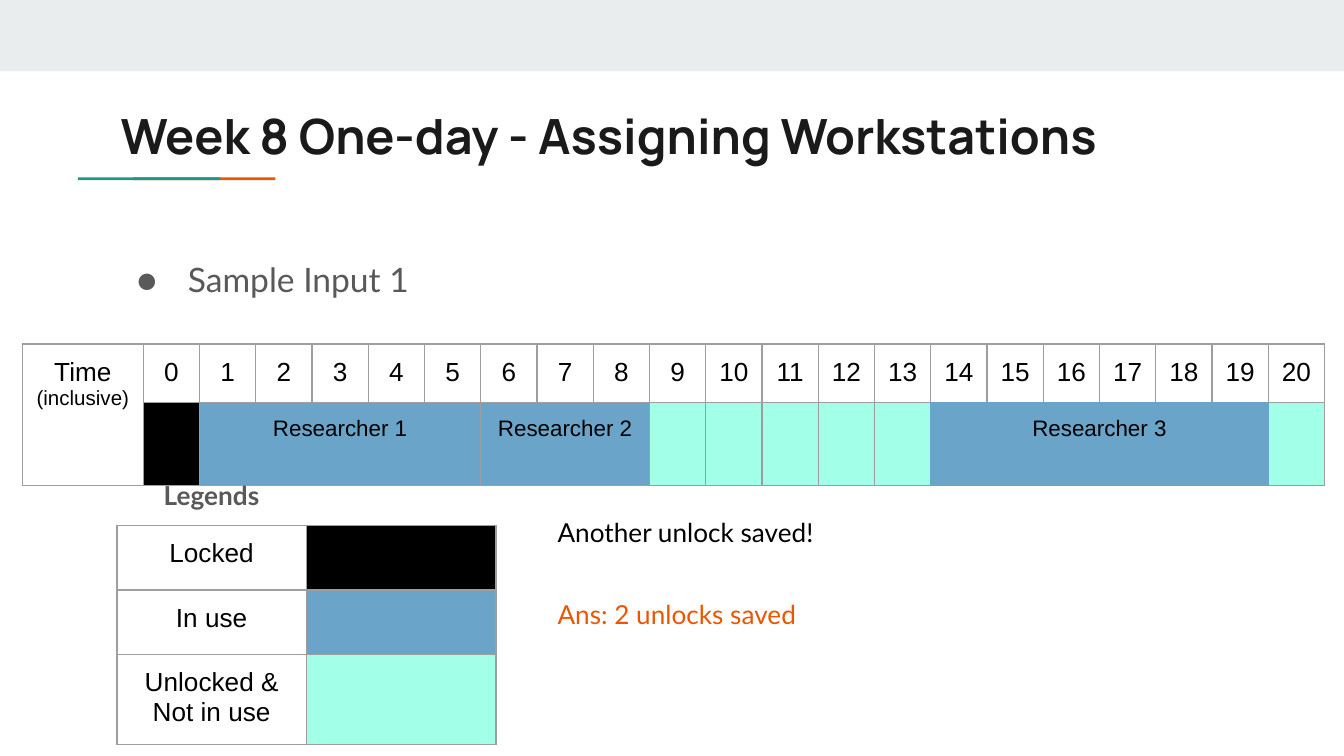
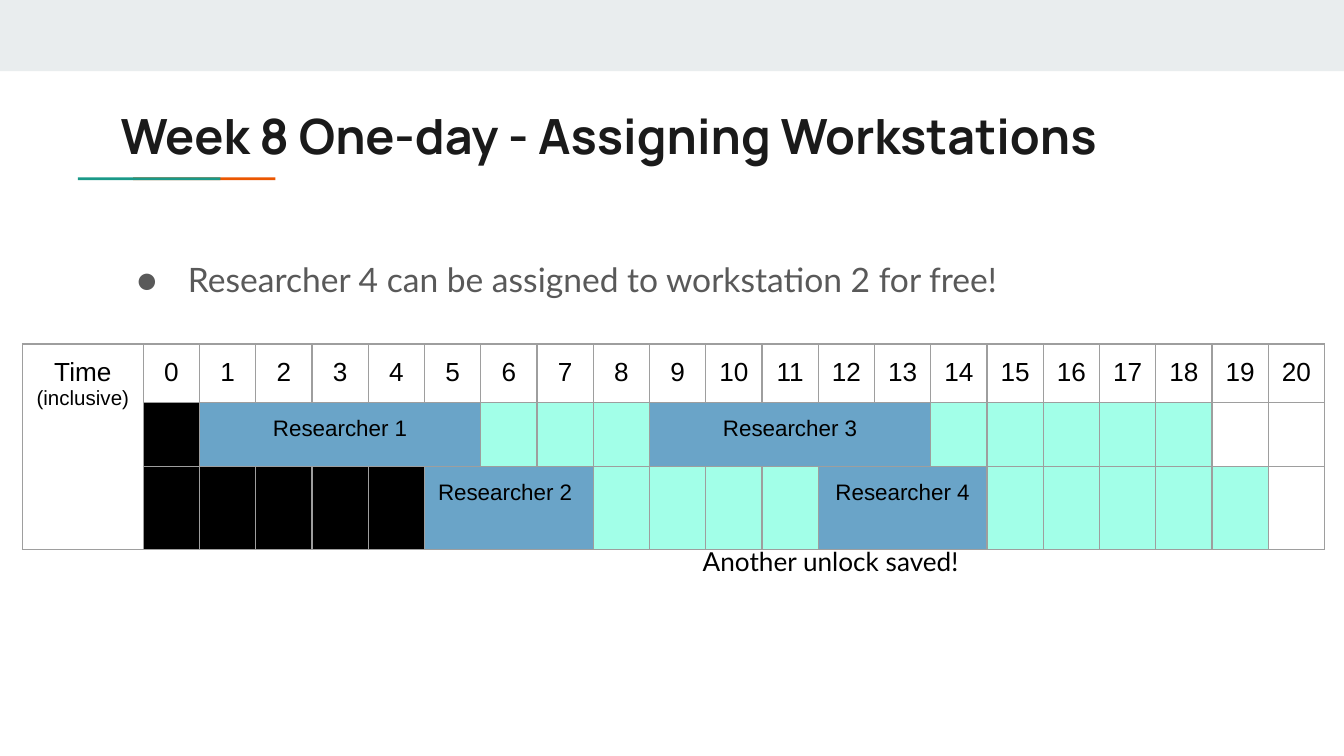
import pptx
import pptx.util
import pptx.dml.color
import pptx.enum.shapes
import pptx.enum.text
import pptx.oxml
import pptx.oxml.ns
import lxml.etree

Inches = pptx.util.Inches
Pt = pptx.util.Pt
CENTER = pptx.enum.text.PP_ALIGN.CENTER
LEFT = pptx.enum.text.PP_ALIGN.LEFT
qn = pptx.oxml.ns.qn

COLORS = {
    "band": "E9EDEE", "teal": "1A9988", "orange": "EB5600",
    "title": "1A1A1A", "body": "595959", "black": "000000",
    "border": "9E9E9E", "locked": "000000", "in use": "6AA4C8", "free": "A2FFE8",
}
LAST_TIME = 20
TIME_LABEL_WIDTH = 0.9
SCHEDULE_WIDTH = 9.69


def rgb(name):
    return pptx.dml.color.RGBColor.from_string(COLORS[name])


def write(paragraph, text, size=14, font="Lato", color="black", bold=False, align=None):
    """Add one formatted run to the paragraph."""
    if align is not None:
        paragraph.alignment = align
    run = paragraph.add_run()
    run.text = text
    run.font.size = Pt(size)
    run.font.name = font
    run.font.bold = bold
    run.font.color.rgb = rgb(color)


def add_child(parent, tag, **attributes):
    return lxml.etree.SubElement(parent, qn(tag), attributes)


def set_margins(target):
    for side in ("left", "right", "top", "bottom"):
        setattr(target, f"margin_{side}", Inches(0.1))


def format_cell(cell, state=None):
    """Set margins, grey borders and the fill for a workstation state."""
    set_margins(cell)
    add_child(cell.text_frame.paragraphs[0]._p, "a:endParaRPr", sz="1400")
    properties = cell._tc.get_or_add_tcPr()
    for side in "LRTB":
        line = add_child(properties, f"a:ln{side}", w=str(Pt(0.75)))
        add_child(add_child(line, "a:solidFill"), "a:srgbClr", val=COLORS["border"])
    if state:
        cell.fill.solid()
        cell.fill.fore_color.rgb = rgb(state)
    else:
        cell.fill.background()


def recolor_borders(cell, sides, color):
    for side in sides:
        line = cell._tc.tcPr.find(qn(f"a:ln{side}"))
        line.find(".//" + qn("a:srgbClr")).set("val", COLORS[color])


class Deck:
    def __init__(self):
        self.presentation = pptx.Presentation()
        self.presentation.slide_width = Inches(10)
        self.presentation.slide_height = Inches(10 * 9 / 16)
        self.slide = None

    def new_slide(self, title, bullet):
        self.slide = self.presentation.slides.add_slide(self.presentation.slide_layouts[6])
        self.bar(0, 0, 10, 0.53, "band")
        self.bar(0.99, 1.32, 1.06, 0.02, "orange")
        self.bar(0.58, 1.32, 1.06, 0.02, "teal")
        self.text(0.8, 0.69, 8.41, 0.59, title, size=26, font="Manrope",
                  color="title", bold=True)
        self.bullet(0.8, 1.68, 8.41, 0.47, bullet)

    def bar(self, left, top, width, height, color):
        shape = self.slide.shapes.add_shape(
            pptx.enum.shapes.MSO_SHAPE.RECTANGLE,
            Inches(left), Inches(top), Inches(width), Inches(height))
        shape.shadow.inherit = False
        shape.fill.solid()
        shape.fill.fore_color.rgb = rgb(color)
        shape.line.fill.background()

    def text_box(self, left, top, width, height):
        """Add an empty wrapped box and return its first paragraph."""
        box = self.slide.shapes.add_textbox(
            Inches(left), Inches(top), Inches(width), Inches(height))
        frame = box.text_frame
        frame.word_wrap = True
        set_margins(frame)
        return frame.paragraphs[0]

    def text(self, left, top, width, height, text, **style):
        write(self.text_box(left, top, width, height), text, **style)

    def bullet(self, left, top, width, height, text):
        paragraph = self.text_box(left, top, width, height)
        paragraph.line_spacing = 1.5
        properties = paragraph._p.get_or_add_pPr()
        properties.set("marL", str(Inches(0.5)))
        properties.set("indent", str(Inches(-0.38)))
        add_child(add_child(properties, "a:buClr"), "a:srgbClr", val=COLORS["body"])
        add_child(properties, "a:buSzPts", val="1800")
        add_child(properties, "a:buFont", typeface="Lato")
        add_child(properties, "a:buChar", char="●")
        write(paragraph, text, size=18, color="body")

    def table(self, left, top, widths, heights):
        frame = self.slide.shapes.add_table(
            len(heights), len(widths), Inches(left), Inches(top),
            Inches(sum(widths)), Inches(sum(heights)))
        table = frame.table
        table.first_row = False
        table.horz_banding = False
        for column, width in zip(table.columns, widths):
            column.width = Inches(width)
        for row, height in zip(table.rows, heights):
            row.height = Inches(height)
        return table

    def schedule(self, heights, *workstations):
        """Draw a timeline; each workstation lists (state or researcher, duration, alignment)."""
        slot = (SCHEDULE_WIDTH - TIME_LABEL_WIDTH) / (LAST_TIME + 1)
        table = self.table(1 / 6, 2.56, [TIME_LABEL_WIDTH] + [slot] * (LAST_TIME + 1), heights)
        for row in range(len(heights)):
            format_cell(table.cell(row, 0))
        table.cell(0, 0).merge(table.cell(len(heights) - 1, 0))
        label = table.cell(0, 0).text_frame.paragraphs[0]
        write(label, "Time ", font="Arial", align=CENTER)
        write(label, "(inclusive)", size=11, font="Arial")
        for time in range(LAST_TIME + 1):
            cell = table.cell(0, time + 1)
            format_cell(cell)
            write(cell.text_frame.paragraphs[0], str(time), font="Arial", align=CENTER)
        for row, periods in enumerate(workstations, start=1):
            column = 1
            for name, duration, *alignment in periods:
                researcher = name.startswith("Researcher")
                state = "in use" if researcher else name
                for offset in range(duration):
                    format_cell(table.cell(row, column + offset), state)
                if researcher:
                    first = table.cell(row, column)
                    first.merge(table.cell(row, column + duration - 1))
                    write(first.text_frame.paragraphs[0], name, size=12, font="Arial",
                          align=alignment[0] if alignment else CENTER)
                column += duration
        return table

    def legend(self, left, top, entries):
        table = self.table(left, top, [1.41, 1.41], [0.48, 0.48, 0.64])
        for row, (label, state) in enumerate(entries):
            format_cell(table.cell(row, 0))
            format_cell(table.cell(row, 1), state)
            write(table.cell(row, 0).text_frame.paragraphs[0], label,
                  font="Arial", align=CENTER)


def outline_period(table, row, start, end):
    """Give the period from start to end the colour of use on every side."""
    for time in range(start, end + 1):
        recolor_borders(table.cell(row - 1, time + 1), "B", "in use")
        recolor_borders(table.cell(row, time + 1), "LRTB", "in use")
    recolor_borders(table.cell(row, start), "R", "in use")
    recolor_borders(table.cell(row, end + 2), "L", "in use")


def main():
    deck = Deck()
    title = "Week 8 One-day - Assigning Workstations"

    deck.new_slide(title, "Sample Input 1")
    table = deck.schedule(
        [0.43, 0.58],
        [("locked", 1), ("Researcher 1", 5), ("Researcher 2", 3), ("free", 5),
         ("Researcher 3", 6), ("free", 1)])
    outline_period(table, 1, 14, 19)
    deck.text(1.12, 3.47, 1.24, 0.3, "Legends", color="body", bold=True)
    deck.legend(0.87, 3.91, [("Locked", "locked"), ("In use", "in use"),
                             ("Unlocked & Not in use", "free")])
    deck.text(4.05, 3.74, 3.01, 0.4, "Another unlock saved!")
    deck.text(4.05, 4.35, 3.01, 0.4, "Ans: 2 unlocks saved", color="orange")

    deck.new_slide(title, "Researcher 4 can be assigned to workstation 2 for free!")
    deck.schedule(
        [0.43, 0.48, 0.59],
        [("locked", 1), ("Researcher 1", 5), ("free", 3), ("Researcher 3", 5),
         ("free", 5), ("", 2)],
        [("locked", 5), ("Researcher 2", 3, LEFT), ("free", 4), ("Researcher 4", 3),
         ("free", 5), ("", 1)])
    deck.text(5.13, 3.96, 2.13, 0.49, "Another unlock saved!")

    deck.presentation.save("out.pptx")


if __name__ == "__main__":
    main()
